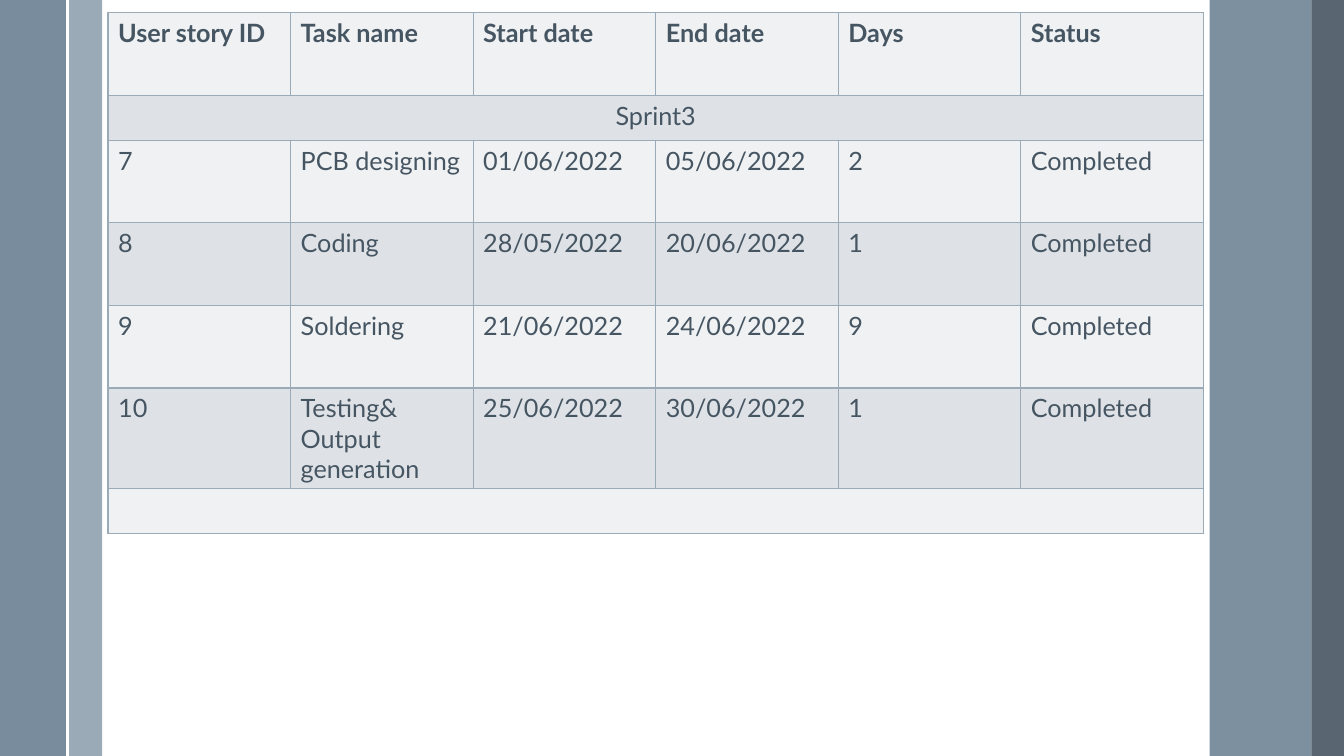
"""Build a slide with the sprint 3 task table between coloured side bands."""
import lxml.etree
import pptx
import pptx.dml.color
import pptx.enum.shapes
import pptx.enum.text
import pptx.oxml.ns
import pptx.util

Pt = pptx.util.Pt
qn = pptx.oxml.ns.qn

ROWS = [
    ("User story ID", "Task name", "Start date", "End date", "Days", "Status"),
    ("Sprint3",),
    ("7", "PCB designing", "01/06/2022", "05/06/2022", "2", "Completed"),
    ("8", "Coding", "28/05/2022", "20/06/2022", "1", "Completed"),
    ("9", "Soldering", "21/06/2022", "24/06/2022", "9", "Completed"),
    ("10", "Testing&\nOutput generation", "25/06/2022", "30/06/2022", "1", "Completed"),
    ("",),
]
BANDS = [
    (49, 24, "9BAAB7", 100),
    (0, 48.2, "6A8093", 90),
    (864, 72.7, "6A8093", 87),
    (936.7, 23.3, "475562", 90),
]
SLIDE_WIDTH, SLIDE_HEIGHT = 960, 540
TABLE_LEFT, TABLE_TOP, COLUMN_WIDTH = 77.2, 9, 130.4
TASK_HEIGHT, SPAN_HEIGHT = 59, 32.2
ROW_FILLS = ("EFF1F3", "DEE2E6")
BORDER_COLOR, DIVIDER_COLOR = "9BAAB7", "FFFFFF"
TEXT_FORMAT = {"name": "Lato", "size": Pt(18)}
TEXT_COLOR = "465562"


def rgb(color):
    return pptx.dml.color.RGBColor.from_string(color)


def set_fill(target, color):
    target.fill.solid()
    target.fill.fore_color.rgb = rgb(color)


def add_band(slide, left, width, color, opacity):
    band = slide.shapes.add_shape(
        pptx.enum.shapes.MSO_SHAPE.RECTANGLE, Pt(left), 0, Pt(width), Pt(SLIDE_HEIGHT))
    band.shadow.inherit = False
    band.line.fill.background()
    set_fill(band, color)
    if opacity < 100:
        color_element = band.fill._xPr.find(qn("a:solidFill"))[0]
        lxml.etree.SubElement(color_element, qn("a:alpha"), val=str(opacity * 1000))


def add_divider(slide, left):
    divider = slide.shapes.add_connector(
        pptx.enum.shapes.MSO_CONNECTOR.STRAIGHT, Pt(left), 0, Pt(left), Pt(SLIDE_HEIGHT))
    divider.line.color.rgb = rgb(DIVIDER_COLOR)
    divider.line.width = Pt(1.5)
    lxml.etree.SubElement(divider._element.spPr, qn("a:effectLst"))


def add_borders(cell):
    properties = cell._tc.get_or_add_tcPr()
    for side in ("lnL", "lnR", "lnT", "lnB"):
        border = lxml.etree.SubElement(properties, qn(f"a:{side}"), w=str(Pt(1)))
        fill = lxml.etree.SubElement(border, qn("a:solidFill"))
        lxml.etree.SubElement(fill, qn("a:srgbClr"), val=BORDER_COLOR)


def write_cell(cell, text, bold, centred):
    cell.text = text
    for paragraph in cell.text_frame.paragraphs:
        if centred:
            paragraph.alignment = pptx.enum.text.PP_ALIGN.CENTER
        for run in paragraph.runs:
            for name, value in {**TEXT_FORMAT, "bold": bold}.items():
                setattr(run.font, name, value)
            run.font.color.rgb = rgb(TEXT_COLOR)


def add_task_table(slide):
    column_count = len(ROWS[0])
    heights = [SPAN_HEIGHT if len(texts) == 1 else TASK_HEIGHT for texts in ROWS]
    table = slide.shapes.add_table(
        len(ROWS), column_count, Pt(TABLE_LEFT), Pt(TABLE_TOP),
        Pt(COLUMN_WIDTH * column_count), Pt(sum(heights))).table
    table.first_row = table.horz_banding = False
    for column in table.columns:
        column.width = Pt(COLUMN_WIDTH)
    for index, (texts, height) in enumerate(zip(ROWS, heights)):
        row = table.rows[index]
        row.height = Pt(height)
        for cell in row.cells:
            add_borders(cell)
            set_fill(cell, ROW_FILLS[index % 2])
        spans = len(texts) == 1
        if spans:
            table.cell(index, 0).merge(table.cell(index, column_count - 1))
        for cell, text in zip(row.cells, texts):
            write_cell(cell, text, index == 0, spans)


presentation = pptx.Presentation()
presentation.slide_width = Pt(SLIDE_WIDTH)
presentation.slide_height = Pt(SLIDE_HEIGHT)
slide = presentation.slides.add_slide(presentation.slide_layouts[6])
for band_values in BANDS:
    add_band(slide, *band_values)
add_divider(slide, BANDS[1][1])
add_task_table(slide)
presentation.save("out.pptx")
